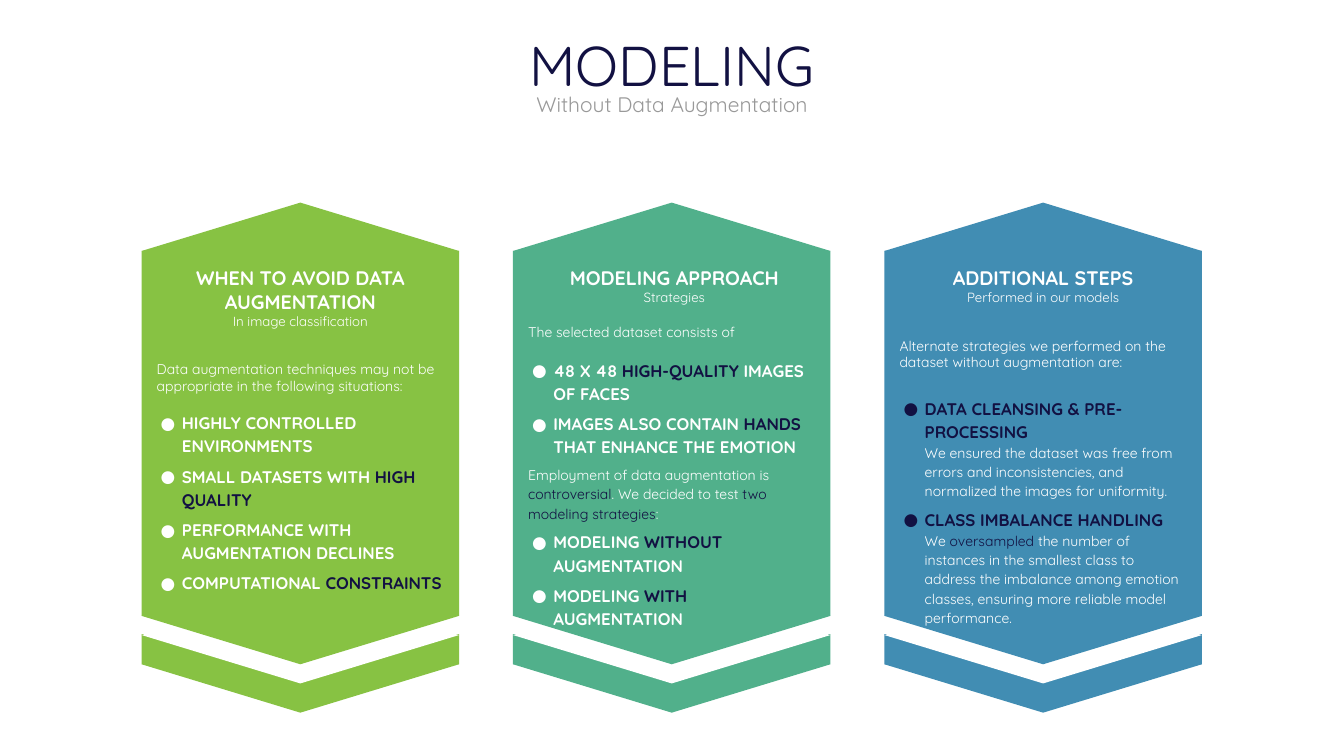
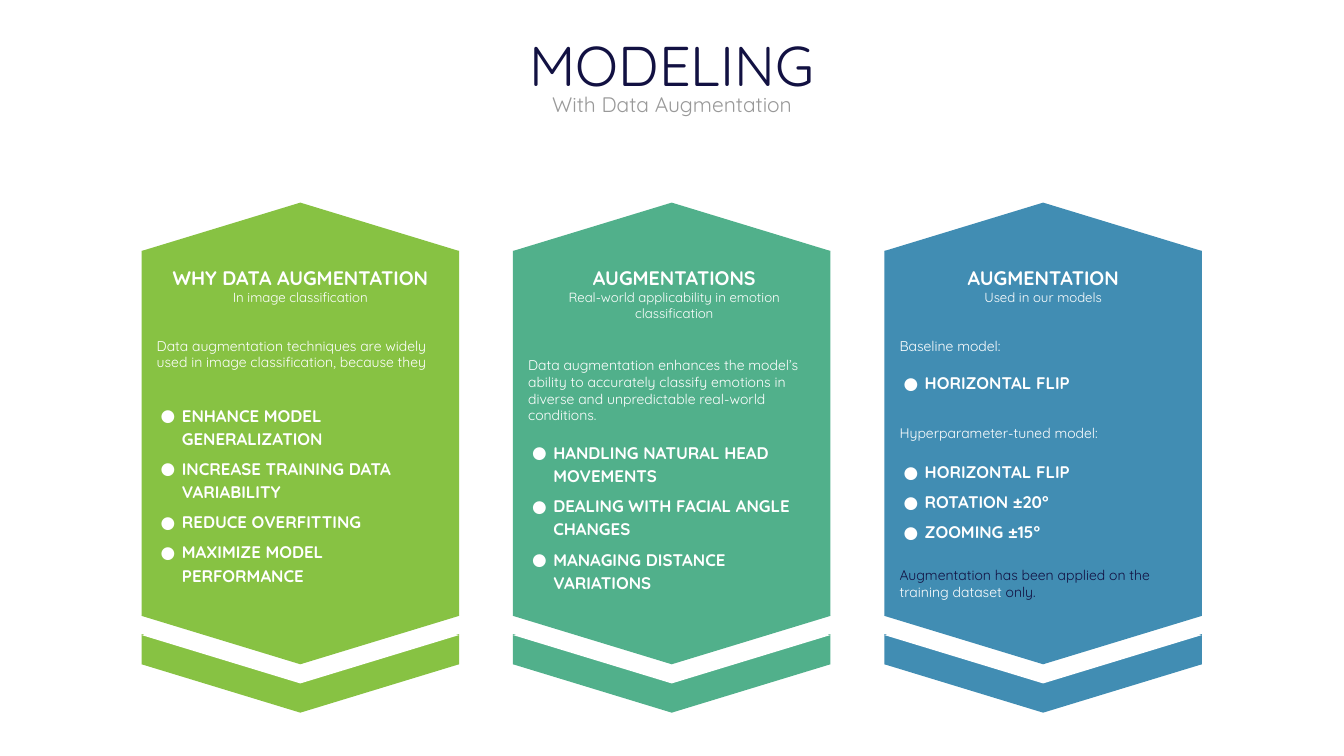
"""Build two slides that compare modeling without and with data augmentation."""
from typing import NamedTuple

from lxml.etree import SubElement
from pptx import Presentation
from pptx.dml.color import RGBColor
from pptx.enum.shapes import MSO_SHAPE
from pptx.enum.text import MSO_ANCHOR, MSO_AUTO_SIZE, PP_ALIGN
from pptx.oxml.ns import qn
from pptx.util import Inches, Pt

FONT = "Quicksand"
NAVY = RGBColor(0x12, 0x11, 0x42)
GRAY = RGBColor(0x99, 0x99, 0x99)
WHITE = RGBColor(0xFF, 0xFF, 0xFF)
GREEN = RGBColor(0x87, 0xC2, 0x43)
TEAL = RGBColor(0x51, 0xB0, 0x8B)
BLUE = RGBColor(0x41, 0x8D, 0xB3)

COLUMN_LEFT, COLUMN_PITCH, COLUMN_WIDTH = 2.81, 7.37, 6.3
DIAMOND_HEIGHT = 1.92
COLUMNS = [(GREEN, 0.3), (TEAL, 0.2), (BLUE, 0.3)]


class Style(NamedTuple):
    """Look of one kind of paragraph in a column."""
    size: int
    bold: bool = False
    align: PP_ALIGN = PP_ALIGN.LEFT
    color: RGBColor = WHITE
    spacing: float = 1.0
    indent: float = 0
    bullet: bool = False


STYLES = {
    "heading": Style(28, True, PP_ALIGN.CENTER),
    "subheading": Style(19, align=PP_ALIGN.CENTER),
    "body": Style(20),
    "loose": Style(20, spacing=1.15),
    "detail": Style(20, spacing=1.15, indent=0.5),
    "bullet": Style(24, True, spacing=1.15, indent=0.5, bullet=True),
    "navy bullet": Style(24, True, color=NAVY, spacing=1.15, indent=0.5, bullet=True),
}

# Each paragraph is (style, text, points before); *stars* mark navy words.
WITHOUT_AUGMENTATION = [
    [
        ("heading", "WHEN TO AVOID DATA AUGMENTATION", 0),
        ("subheading", "In image classification", 0),
        ("body", "Data augmentation techniques may not be appropriate "
                 "in the following situations:", 45),
        ("bullet", "HIGHLY CONTROLLED ENVIRONMENTS", 22.5),
        ("bullet", "SMALL DATASETS WITH *HIGH QUALITY*", 10),
        ("bullet", "PERFORMANCE WITH AUGMENTATION DECLINES", 10),
        ("bullet", "COMPUTATIONAL *CONSTRAINTS*", 10),
    ],
    [
        ("heading", "MODELING APPROACH", 0),
        ("subheading", "Strategies", 0),
        ("body", "The selected dataset consists of", 25),
        ("bullet", "48 X 48 *HIGH-QUALITY* IMAGES OF FACES", 25),
        ("bullet", "IMAGES ALSO CONTAIN *HANDS* THAT ENHANCE THE EMOTION", 10),
        ("loose", "Employment of data augmentation is *controversial*. "
                  "We decided to test *two modeling strategies*:", 10),
        ("bullet", "MODELING *WITHOUT* AUGMENTATION", 10),
        ("bullet", "MODELING *WITH* AUGMENTATION", 10),
    ],
    [
        ("heading", "ADDITIONAL STEPS", 0),
        ("subheading", "Performed in our models", 0),
        ("body", "Alternate strategies we performed on the dataset "
                 "without augmentation are:", 45),
        ("navy bullet", "DATA CLEANSING & PRE-PROCESSING", 35),
        ("detail", "We ensured the dataset was free from errors and "
                   "inconsistencies, and normalized the images for uniformity.", 0),
        ("navy bullet", "CLASS IMBALANCE HANDLING", 10),
        ("detail", "We *oversampled* the number of instances in the smallest "
                   "class to address the imbalance among emotion classes, "
                   "ensuring more reliable model performance.", 0),
    ],
]

WITH_AUGMENTATION = [
    [
        ("heading", "WHY DATA AUGMENTATION", 0),
        ("subheading", "In image classification", 0),
        ("body", "Data augmentation techniques are widely used in image "
                 "classification, because they", 45),
        ("bullet", "ENHANCE MODEL GENERALIZATION", 45),
        ("bullet", "INCREASE TRAINING DATA VARIABILITY", 10),
        ("bullet", "REDUCE OVERFITTING", 10),
        ("bullet", "MAXIMIZE MODEL PERFORMANCE", 10),
    ],
    [
        ("heading", "AUGMENTATIONS", 0),
        ("subheading", "Real-world applicability in emotion classification", 0),
        ("body", "Data augmentation enhances the model’s ability to accurately "
                 "classify emotions in diverse and unpredictable real-world "
                 "conditions.", 50),
        ("bullet", "HANDLING NATURAL HEAD MOVEMENTS", 22.5),
        ("bullet", "DEALING WITH FACIAL ANGLE CHANGES", 10),
        ("bullet", "MANAGING DISTANCE VARIATIONS", 10),
    ],
    [
        ("heading", "AUGMENTATION", 0),
        ("subheading", "Used in our models", 0),
        ("body", "Baseline model:", 45),
        ("bullet", "HORIZONTAL FLIP", 22.5),
        ("body", "Hyperparameter-tuned model:", 45),
        ("bullet", "HORIZONTAL FLIP", 25),
        ("bullet", "ROTATION ±20°", 10),
        ("bullet", "ZOOMING ±15°", 10),
        ("body", "*Augmentation has been applied on the* training dataset *only.*", 35),
    ],
]


def format_run(r, size, color, bold=False):
    """Set the font of one run."""
    r.font.name = FONT
    r.font.size = Pt(size)
    r.font.bold = bold
    r.font.color.rgb = color


def set_frame(tf, left=0.1, top=0.1, right=0.1):
    """Make a text frame wrap from the top with the given insets."""
    tf.auto_size = MSO_AUTO_SIZE.NONE
    tf.word_wrap = True
    tf.vertical_anchor = MSO_ANCHOR.TOP
    tf.margin_left, tf.margin_top = Inches(left), Inches(top)
    tf.margin_right, tf.margin_bottom = Inches(right), Inches(0.1)


def add_bullet(p, color):
    """Give a paragraph a hanging round bullet."""
    pPr = p._p.get_or_add_pPr()
    pPr.set("indent", str(Inches(-0.42)))
    fill = SubElement(SubElement(pPr, qn("a:buClr")), qn("a:srgbClr"))
    fill.set("val", str(color))
    SubElement(pPr, qn("a:buFont")).set("typeface", FONT)
    SubElement(pPr, qn("a:buChar")).set("char", "●")


def write_paragraph(p, kind, text, before):
    """Write one styled paragraph with its starred words in navy."""
    style = STYLES[kind]
    p.alignment = style.align
    p.line_spacing = style.spacing
    if before:
        p.space_before = Pt(before)
    if style.indent:
        p._p.get_or_add_pPr().set("marL", str(Inches(style.indent)))
    if style.bullet:
        add_bullet(p, style.color)
    for i, part in enumerate(text.split("*")):
        if part:
            r = p.add_run()
            r.text = part
            format_run(r, style.size, NAVY if i % 2 else style.color, style.bold)


def add_block(slide, shape, left, top, height, color):
    """Add a plain filled shape as wide as a column."""
    sp = slide.shapes.add_shape(shape, Inches(left), Inches(top),
                                Inches(COLUMN_WIDTH), Inches(height))
    sp.shadow.inherit = False
    sp.fill.solid()
    sp.fill.fore_color.rgb = color
    sp.line.fill.background()
    return sp


def add_column(slide, left, color, right_inset, paragraphs):
    """Add a pointed column with a chevron below and its text."""
    add_block(slide, MSO_SHAPE.RECTANGLE, left, 12.58, 0.6, color)
    for top, fill in [(12.22, color), (11.64, WHITE), (4.02, color), (11.26, color)]:
        add_block(slide, MSO_SHAPE.DIAMOND, left, top, DIAMOND_HEIGHT, fill)
    tf = add_block(slide, MSO_SHAPE.RECTANGLE, left, 4.98, 7.24, color).text_frame
    set_frame(tf, 0.3, 0.3, right_inset)
    for i, paragraph in enumerate(paragraphs):
        write_paragraph(tf.add_paragraph() if i else tf.paragraphs[0], *paragraph)


def write_line(sp, text, size, color):
    """Write one centred line in a title or subtitle box."""
    tf = sp.text_frame
    set_frame(tf)
    tf.text = text
    p = tf.paragraphs[0]
    p.alignment = PP_ALIGN.CENTER
    format_run(p.runs[0], size, color)


def add_modeling_slide(prs, subtitle, columns):
    """Add a slide with the title, a subtitle and three columns."""
    slide = prs.slides.add_slide(prs.slide_layouts[5])
    title = slide.shapes.title
    title.left, title.top = Inches(8.54), Inches(0.5)
    title.width, title.height = Inches(9.59), Inches(1.55)
    write_line(title, "MODELING", 80, NAVY)
    box = slide.shapes.add_textbox(Inches(8.54), Inches(1.71), Inches(9.59), Inches(0.71))
    write_line(box, subtitle, 30, GRAY)
    for i, ((color, right_inset), paragraphs) in enumerate(zip(COLUMNS, columns)):
        add_column(slide, COLUMN_LEFT + i * COLUMN_PITCH, color, right_inset, paragraphs)


def main():
    """Build and save the presentation."""
    prs = Presentation()
    prs.slide_width, prs.slide_height = Inches(26.67), Inches(15)
    add_modeling_slide(prs, "Without Data Augmentation", WITHOUT_AUGMENTATION)
    add_modeling_slide(prs, "With Data Augmentation", WITH_AUGMENTATION)
    prs.save("out.pptx")


if __name__ == "__main__":
    main()
